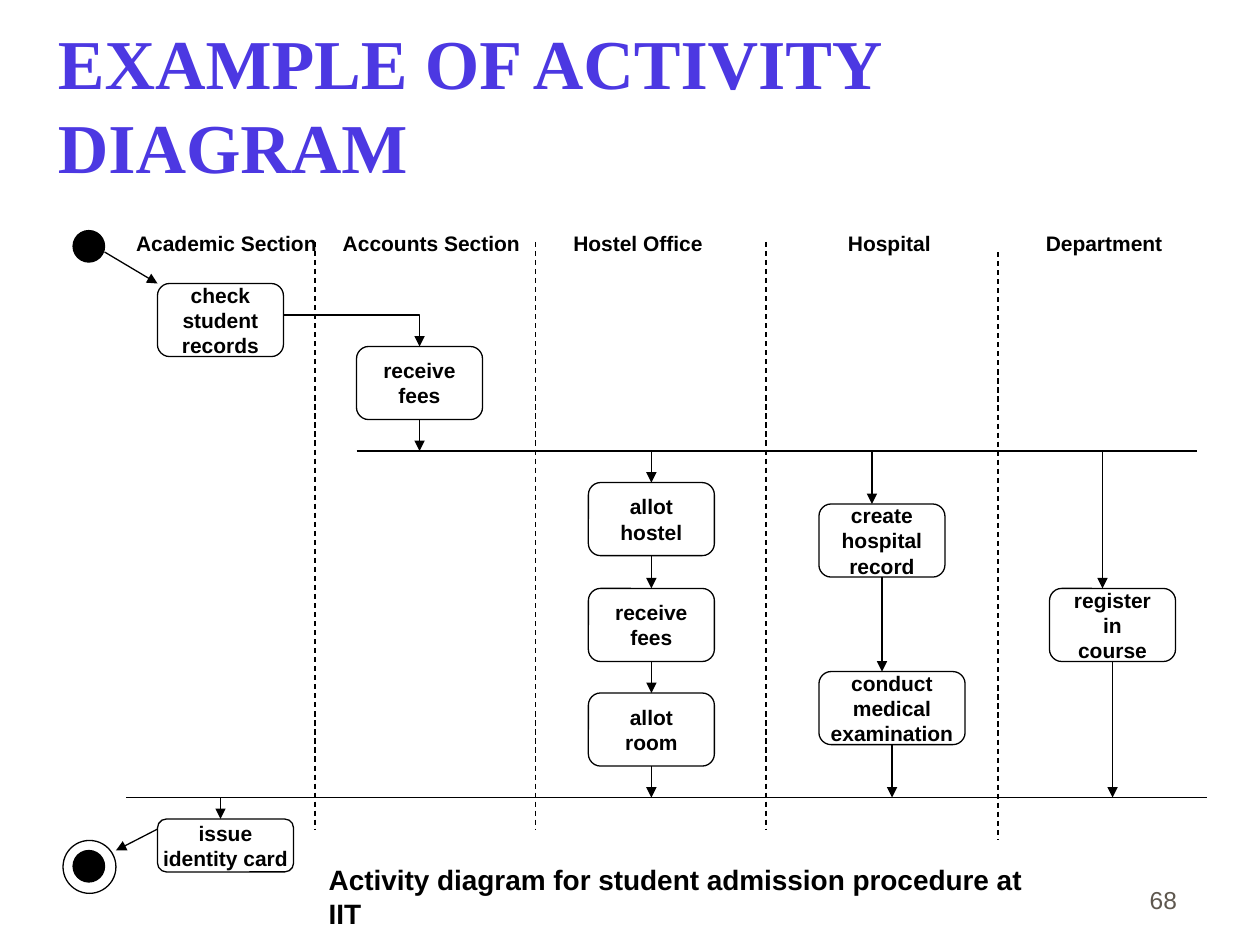
import pptx
import pptx.util
import pptx.dml.color
import pptx.enum.dml
import pptx.enum.shapes
import pptx.enum.text
import pptx.oxml.ns
import lxml.etree
from dataclasses import dataclass

Inches, Pt = pptx.util.Inches, pptx.util.Pt
Color = pptx.dml.color.RGBColor.from_string
Shape = pptx.enum.shapes.MSO_SHAPE
Align = pptx.enum.text.PP_ALIGN
Anchor = pptx.enum.text.MSO_ANCHOR
Fit = pptx.enum.text.MSO_AUTO_SIZE
qn = pptx.oxml.ns.qn


@dataclass
class Theme:
    ink: object = Color("000000")
    title: object = Color("4C38E2")
    gray: object = Color("5E574E")
    sans: str = "Arial"
    serif: str = "Times New Roman"
    big: int = 40
    note: int = 16
    page: int = 14
    small: int = 12
    line: float = 0.75


theme = Theme()


def write(frame, text, size, color=theme.ink, bold=True, align=Align.LEFT, face=theme.sans):
    frame.text = text
    for para in frame.paragraphs:
        para.alignment = align
        font = para.font
        font.name, font.size, font.bold = face, Pt(size), bold
        font.color.rgb = color


def stroke(item, arrow=False):
    item.line.color.rgb = theme.ink
    item.line.width = Pt(theme.line)
    props = item._element.spPr
    if props.find(qn("a:effectLst")) is None:
        lxml.etree.SubElement(props, qn("a:effectLst"))
    if arrow:
        tail = lxml.etree.SubElement(item.line._get_or_add_ln(), qn("a:tailEnd"))
        tail.set("type", "triangle")


deck = pptx.Presentation()
deck.slide_width, deck.slide_height = Inches(10), Inches(7.5)
slide = deck.slides.add_slide(deck.slide_layouts[5])
shapes = slide.shapes

# Title
title = shapes.title
title.left, title.top = Inches(0.44), Inches(0.2)
title.width, title.height = Inches(8.5), Inches(1.25)
frame = title.text_frame
frame.word_wrap, frame.auto_size = True, Fit.NONE
frame.vertical_anchor = Anchor.MIDDLE
frame.margin_left = frame.margin_right = Inches(0.02)
write(frame, "EXAMPLE OF ACTIVITY DIAGRAM", theme.big, theme.title, face=theme.serif)

# Page number
page = shapes.add_textbox(Inches(7.36), Inches(6.81), Inches(2.08), Inches(0.5))
page.text_frame.word_wrap = True
page.text_frame.vertical_anchor = Anchor.BOTTOM
write(page.text_frame, "68", theme.page, theme.gray, False, Align.RIGHT)

# Start and end marks
for x, y, size, solid in [
    (0.58, 1.83, 0.25, True),
    (0.58, 6.75, 0.25, True),
    (0.5, 6.67, 0.42, False),
]:
    dot = shapes.add_shape(Shape.OVAL, Inches(x), Inches(y), Inches(size), Inches(size))
    stroke(dot)
    if solid:
        dot.fill.solid()
        dot.fill.fore_color.rgb = theme.ink
    else:
        dot.fill.background()

# Lane names
for text, x, width in [
    ("Academic Section", 1.08, 1.44),
    ("Accounts Section", 2.72, 1.41),
    ("Hostel Office", 4.55, 1.03),
    ("Hospital", 6.73, 0.66),
    ("Department", 8.3, 0.93),
]:
    label = shapes.add_textbox(Inches(x), Inches(1.83), Inches(width), Inches(0.2))
    frame = label.text_frame
    frame.margin_left = frame.margin_right = frame.margin_top = frame.margin_bottom = 0
    frame.word_wrap, frame.auto_size = False, Fit.SHAPE_TO_FIT_TEXT
    write(frame, text, theme.small)

# Activities
boxes = {}
for name, text, x, y, width, height in [
    ("check", "check\nstudent\nrecords", 1.25, 2.25, 1, 0.58),
    ("fees", "receive\nfees", 2.83, 2.75, 1, 0.58),
    ("hostel", "allot\nhostel", 4.67, 3.83, 1, 0.58),
    ("pay", "receive\nfees", 4.67, 4.67, 1, 0.58),
    ("room", "allot\nroom", 4.67, 5.5, 1, 0.58),
    ("create", "create\nhospital\nrecord", 6.5, 4, 1, 0.58),
    ("exam", "conduct\nmedical\nexamination", 6.5, 5.33, 1.16, 0.58),
    ("course", "register\nin\ncourse", 8.33, 4.67, 1, 0.58),
    ("card", "issue\nidentity card", 1.25, 6.5, 1.08, 0.42),
]:
    box = shapes.add_shape(
        Shape.ROUNDED_RECTANGLE, Inches(x), Inches(y), Inches(width), Inches(height))
    box.adjustments[0] = 0.167
    box.fill.background()
    stroke(box)
    box.text_frame.word_wrap = False
    box.text_frame.vertical_anchor = Anchor.MIDDLE
    write(box.text_frame, text, theme.small, align=Align.CENTER)
    boxes[name] = box

# Lane borders, then fork and join bars
for x1, y1, x2, y2, dash in [
    (2.5, 1.92, 2.5, 6.58, True),
    (4.25, 1.92, 4.25, 6.58, True),
    (6.08, 1.92, 6.08, 6.58, True),
    (7.92, 2, 7.92, 6.67, True),
    (2.83, 3.58, 9.5, 3.58, False),
    (1, 6.33, 9.58, 6.33, False),
]:
    rule = shapes.add_connector(
        pptx.enum.shapes.MSO_CONNECTOR.STRAIGHT, Inches(x1), Inches(y1), Inches(x2), Inches(y2))
    stroke(rule)
    if dash:
        rule.line.dash_style = pptx.enum.dml.MSO_LINE.DASH

# Bent arrow from the first activity to the second
path = shapes.build_freeform(Inches(2.25), Inches(2.5))
path.add_line_segments(
    [(Inches(3.33), Inches(2.5)), (Inches(3.33), Inches(2.75))], close=False)
bend = path.convert_to_shape()
bend.fill.background()
stroke(bend, arrow=True)

# Straight arrows, joined where they meet the middle of a side
for x1, y1, x2, y2, source, target in [
    (0.83, 2, 1.25, 2.25, None, None),
    (3.33, 3.33, 3.33, 3.58, "fees", None),
    (5.17, 3.58, 5.17, 3.83, None, "hostel"),
    (5.17, 4.41, 5.17, 4.67, "hostel", "pay"),
    (5.17, 5.25, 5.17, 5.5, "pay", "room"),
    (5.17, 6.08, 5.17, 6.33, "room", None),
    (6.92, 3.58, 6.92, 4, None, None),
    (7, 4.58, 7, 5.33, "create", None),
    (7.08, 5.91, 7.08, 6.33, "exam", None),
    (8.75, 3.58, 8.75, 4.67, None, None),
    (8.83, 5.25, 8.83, 6.33, "course", None),
    (1.75, 6.33, 1.75, 6.5, None, None),
    (1.25, 6.58, 0.92, 6.75, None, None),
]:
    arrow = shapes.add_connector(
        pptx.enum.shapes.MSO_CONNECTOR.STRAIGHT, Inches(x1), Inches(y1), Inches(x2), Inches(y2))
    stroke(arrow, arrow=True)
    if source:
        arrow.begin_connect(boxes[source], 2)
    if target:
        arrow.end_connect(boxes[target], 0)

# Caption
note = shapes.add_textbox(Inches(2.51), Inches(6.8), Inches(6.02), Inches(0.37))
note.text_frame.word_wrap = False
note.text_frame.auto_size = Fit.SHAPE_TO_FIT_TEXT
write(note.text_frame, "Activity diagram for student admission procedure at IIT", theme.note)

deck.save("out.pptx")
